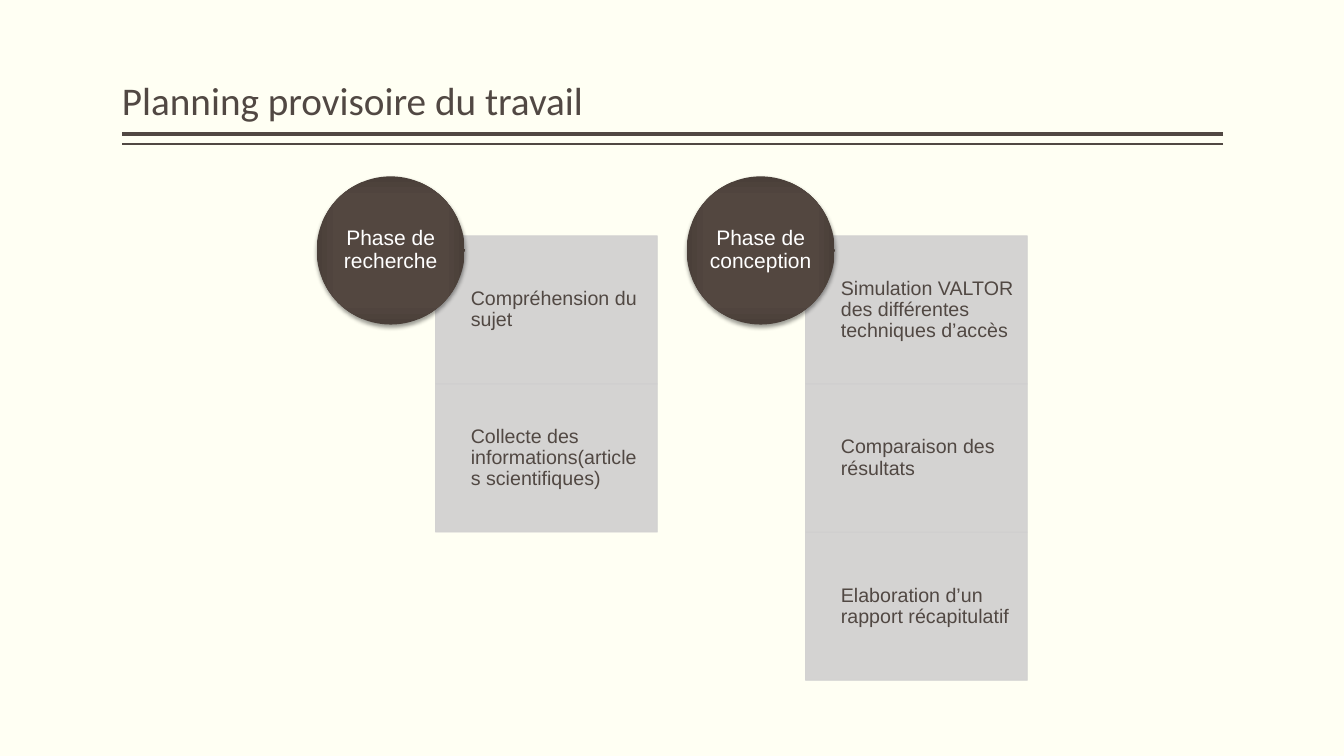
"""Build the slide showing the provisional work plan in two phases."""
import lxml.etree
import pptx
import pptx.dml.color
import pptx.enum.shapes
import pptx.enum.text
import pptx.oxml
import pptx.oxml.ns
import pptx.util
from pptx.util import Inches

CREAM = pptx.dml.color.RGBColor(0xFF, 0xFF, 0xF3)
BROWN = pptx.dml.color.RGBColor(0x51, 0x48, 0x43)
GREY = pptx.dml.color.RGBColor(0xD0, 0xCF, 0xCF)
WHITE = pptx.dml.color.RGBColor(0xFF, 0xFF, 0xFF)
BLACK = pptx.dml.color.RGBColor(0, 0, 0)
CIRCLE_STOPS = [
    (0, pptx.dml.color.RGBColor(0x54, 0x47, 0x40)),
    (71, pptx.dml.color.RGBColor(0x53, 0x47, 0x40)),
    (100, pptx.dml.color.RGBColor(0x4A, 0x3F, 0x39)),
]

RULE_LEFT, RULE_RIGHT = 1.21, 12.13
PHASE_LEFT, PHASE_TOP, PHASE_STEP = 3.14, 1.75, 3.67
CIRCLE_SIZE = 1.47
TASK_OFFSET, TASK_TOP, TASK_WIDTH, TASK_HEIGHT = 1.18, 2.34, 2.2, 1.47
PHASES = [
    ("Phase de recherche",
     ["Compréhension du sujet",
      "Collecte des informations(articles scientifiques)"]),
    ("Phase de conception",
     ["Simulation VALTOR des différentes techniques d’accès",
      "Comparaison des résultats",
      "Elaboration d’un rapport récapitulatif"]),
]


def write_text(shape, text, font_name, size, color, alignment, anchor, insets):
    frame = shape.text_frame
    frame.word_wrap = True
    frame.auto_size = pptx.enum.text.MSO_AUTO_SIZE.NONE
    frame.vertical_anchor = anchor
    (frame.margin_left, frame.margin_top,
     frame.margin_right, frame.margin_bottom) = map(Inches, insets)
    frame.text = text
    paragraph = frame.paragraphs[0]
    paragraph.alignment = alignment
    paragraph.line_spacing = 0.9
    paragraph.font.name = font_name
    paragraph.font.size = pptx.util.Pt(size)
    paragraph.font.color.rgb = color


def set_title(slide, text):
    title = slide.shapes.title
    title.left, title.top = Inches(RULE_LEFT), Inches(0.08)
    title.width, title.height = Inches(RULE_RIGHT - RULE_LEFT), Inches(1.2)
    write_text(title, text, "Calibri", 28, BROWN, pptx.enum.text.PP_ALIGN.LEFT,
               pptx.enum.text.MSO_ANCHOR.BOTTOM, (0, 0.05, 0, 0.05))


def add_rule(slide, top, width):
    rule = slide.shapes.add_connector(
        pptx.enum.shapes.MSO_CONNECTOR.STRAIGHT,
        Inches(RULE_RIGHT), Inches(top), Inches(RULE_LEFT), Inches(top))
    rule.line.color.rgb = BROWN
    rule.line.width = pptx.util.Pt(width)
    lxml.etree.SubElement(rule._element.spPr, pptx.oxml.ns.qn("a:effectLst"))


def add_task(slide, left, top, text):
    task = slide.shapes.add_shape(
        pptx.enum.shapes.MSO_SHAPE.RECTANGLE,
        Inches(left), Inches(top), Inches(TASK_WIDTH), Inches(TASK_HEIGHT))
    task.shadow.inherit = False
    task.fill.solid()
    task.fill.fore_color.rgb = GREY
    task.line.color.rgb = GREY
    task.line.width = pptx.util.Pt(0.5)
    for color in task._element.spPr.xpath(".//a:srgbClr"):
        lxml.etree.SubElement(color, pptx.oxml.ns.qn("a:alpha"), val="90000")
    write_text(task, text, "Arial", 14, BROWN, pptx.enum.text.PP_ALIGN.LEFT,
               pptx.enum.text.MSO_ANCHOR.MIDDLE, (0.35, 0.11, 0.11, 0.11))


def style_circle(circle):
    namespace = pptx.oxml.ns.nsdecls("a")
    stops = "".join(
        f'<a:gs pos="{position * 1000}"><a:srgbClr val="{color}"/></a:gs>'
        for position, color in CIRCLE_STOPS)
    gradient = pptx.oxml.parse_xml(
        f'<a:gradFill {namespace} rotWithShape="1"><a:gsLst>{stops}</a:gsLst>'
        '<a:path path="rect"><a:fillToRect l="50000" t="50000" r="50000" '
        'b="50000"/></a:path></a:gradFill>')
    shadow = pptx.oxml.parse_xml(
        f'<a:outerShdw {namespace} blurRad="{pptx.util.Pt(3.1)}" '
        f'dist="{pptx.util.Pt(2)}" dir="5400000" rotWithShape="0">'
        f'<a:srgbClr val="{BLACK}"><a:alpha val="38000"/></a:srgbClr>'
        '</a:outerShdw>')
    circle.line.fill.background()
    circle.shadow.inherit = False
    properties = circle._element.spPr
    properties.find(pptx.oxml.ns.qn("a:prstGeom")).addnext(gradient)
    properties.find(pptx.oxml.ns.qn("a:effectLst")).append(shadow)


def add_phase_circle(slide, left, text):
    circle = slide.shapes.add_shape(
        pptx.enum.shapes.MSO_SHAPE.OVAL,
        Inches(left), Inches(PHASE_TOP), Inches(CIRCLE_SIZE), Inches(CIRCLE_SIZE))
    style_circle(circle)
    write_text(circle, text, "Arial", 15, WHITE, pptx.enum.text.PP_ALIGN.CENTER,
               pptx.enum.text.MSO_ANCHOR.MIDDLE, (0, 0, 0, 0))


def add_phase(slide, left, name, tasks):
    for row, task in enumerate(tasks):
        add_task(slide, left + TASK_OFFSET, TASK_TOP + row * TASK_HEIGHT, task)
    add_phase_circle(slide, left, name)


def main():
    presentation = pptx.Presentation()
    presentation.slide_width = Inches(13.33)
    presentation.slide_height = Inches(7.5)
    slide = presentation.slides.add_slide(presentation.slide_layouts[5])
    slide.background.fill.solid()
    slide.background.fill.fore_color.rgb = CREAM
    set_title(slide, "Planning provisoire du travail")
    add_rule(slide, 1.33, 3)
    add_rule(slide, 1.43, 1)
    for column, (name, tasks) in enumerate(PHASES):
        add_phase(slide, PHASE_LEFT + column * PHASE_STEP, name, tasks)
    presentation.save("out.pptx")


if __name__ == "__main__":
    main()
